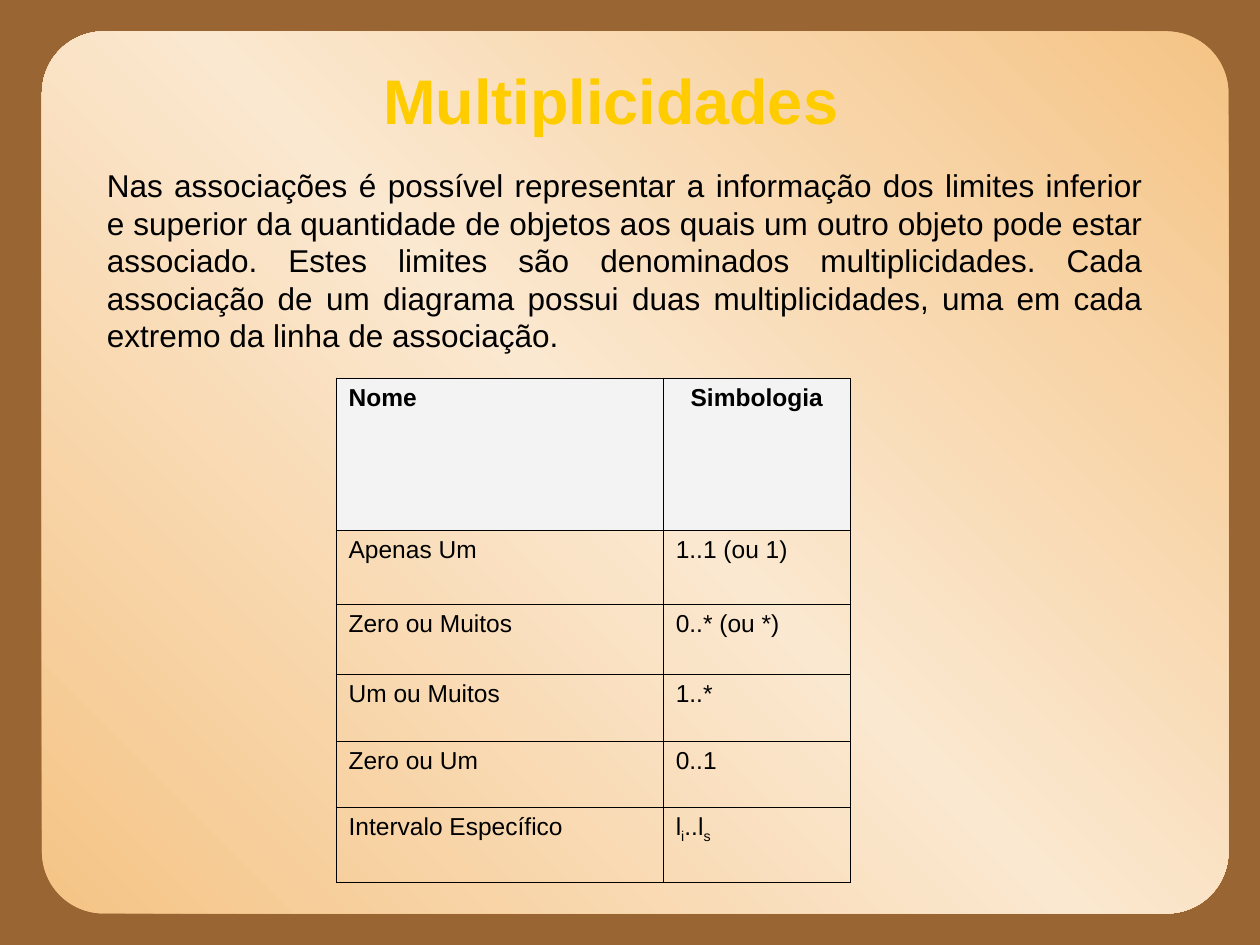
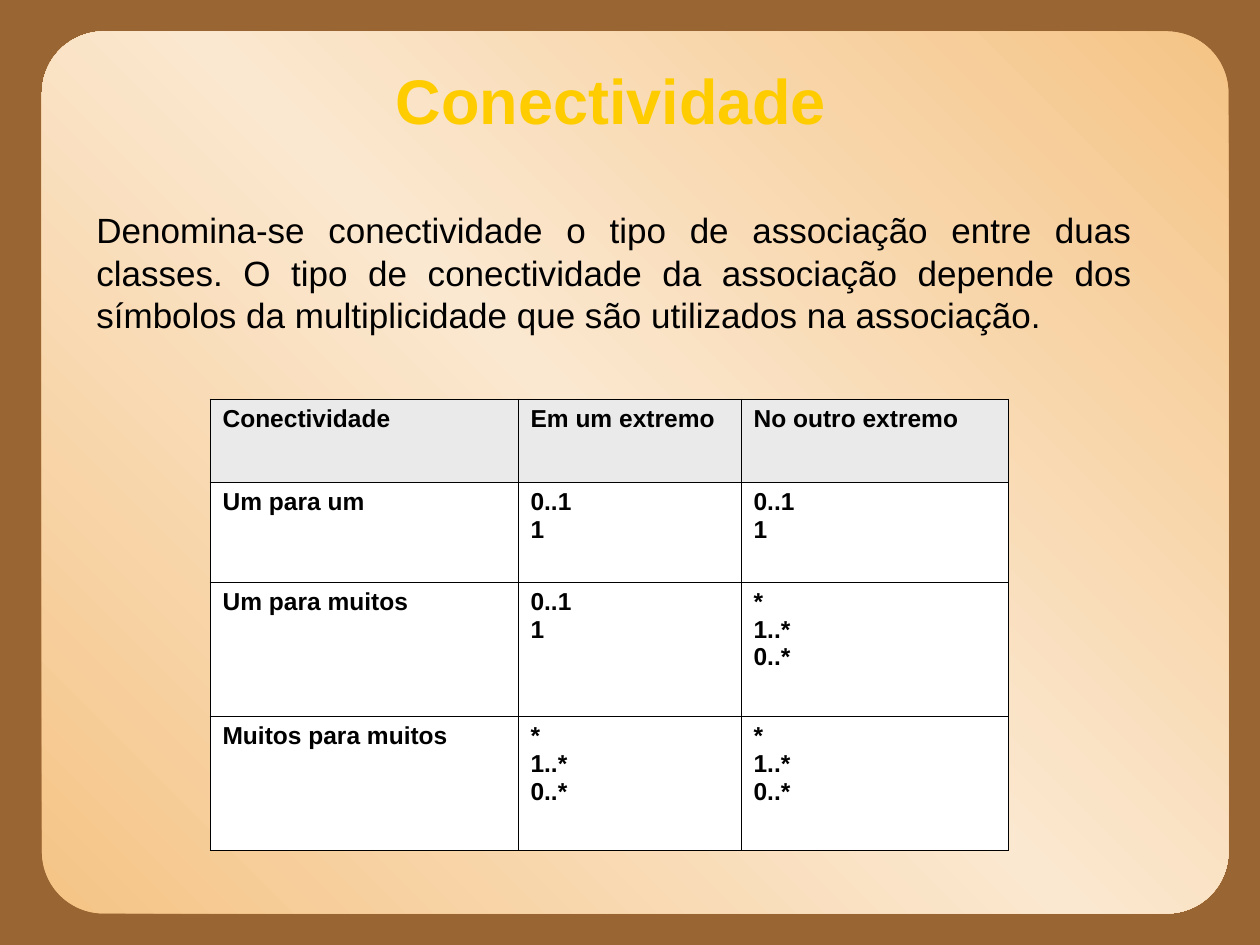
from copy import deepcopy

from lxml import etree
from pptx import Presentation
from pptx.dml.color import RGBColor
from pptx.enum.shapes import MSO_SHAPE
from pptx.enum.text import MSO_ANCHOR, PP_ALIGN
from pptx.oxml.ns import qn
from pptx.util import Pt

ROUNDED = MSO_SHAPE.ROUNDED_RECTANGLE
MIDDLE = MSO_ANCHOR.MIDDLE
LEFT, CENTER, JUSTIFY = PP_ALIGN.LEFT, PP_ALIGN.CENTER, PP_ALIGN.JUSTIFY

COLORS = {
    "frame": "996633",
    "panel_edge": "F5C486",
    "panel_middle": "FBE8D0",
    "title": "FFCC00",
    "text": "000000",
    "light_header": "F3F3F3",
    "gray_header": "EAEAEA",
    "white": "FFFFFF",
}

SLIDES = [
    {
        "title": "Multiplicidades",
        "body": "Nas associações é possível representar a informação dos limites inferior e superior "
                "da quantidade de objetos aos quais um outro objeto pode estar associado. Estes "
                "limites são denominados multiplicidades. Cada associação de um diagrama possui "
                "duas multiplicidades, uma em cada extremo da linha de associação.",
        "body_box": (54, 90, 606, 115),
        "body_size": 18,
        "line_spacing": 21.5,
        "table_at": (192, 216),
        "columns": [187, 107],
        "row_heights": [87, 42.3, 40, 38.3, 37.7, 42.7],
        "header_fill": "light_header",
        "cell_fill": None,
        "header_alignments": [LEFT, CENTER],
        "bold_cells": False,
        "rows": [
            ["Nome", "Simbologia"],
            ["Apenas Um", "1..1 (ou 1)"],
            ["Zero ou Muitos", "0..* (ou *)"],
            ["Um ou Muitos", "1..*"],
            ["Zero ou Um", "0..1"],
            ["Intervalo Específico", [("l", False), ("i", True), ("..l", False), ("s", True)]],
        ],
    },
    {
        "title": "Conectividade",
        "body": "Denomina-se conectividade o tipo de associação entre duas classes. O tipo de "
                "conectividade da associação depende dos símbolos da multiplicidade que são "
                "utilizados na associação.",
        "body_box": (48, 114, 606, 79),
        "body_size": 20,
        "line_spacing": 24.3,
        "table_at": (120, 228),
        "columns": [176, 127.5, 152.5],
        "row_heights": [47.5, 57.3, 76.6, 76.6],
        "header_fill": "gray_header",
        "cell_fill": "white",
        "header_alignments": [LEFT, LEFT, LEFT],
        "bold_cells": True,
        "rows": [
            ["Conectividade", "Em um extremo", "No outro extremo"],
            ["Um para um", "0..1\n1", "0..1\n1"],
            ["Um para muitos", "0..1\n1", "*\n1..*\n0..*"],
            ["Muitos para muitos", "*\n1..*\n0..*", "*\n1..*\n0..*"],
        ],
    },
]


def style_paragraph(paragraph, size, color, bold, alignment):
    paragraph.alignment = alignment
    font = paragraph.font
    font.name = "Arial"
    font.size = Pt(size)
    font.bold = bold
    font.color.rgb = RGBColor.from_string(COLORS[color])


def add_borders(cell):
    properties = cell._tc.get_or_add_tcPr()
    for position, side in enumerate(("lnL", "lnR", "lnT", "lnB")):
        line = etree.Element(qn(f"a:{side}"), w=str(Pt(0.45)))
        fill = etree.SubElement(line, qn("a:solidFill"))
        etree.SubElement(fill, qn("a:srgbClr"), val=COLORS["text"])
        properties.insert(position, line)


presentation = Presentation()
presentation.slide_width = Pt(720)
presentation.slide_height = Pt(540)

for content in SLIDES:
    slide = presentation.slides.add_slide(presentation.slide_layouts[6])
    slide.background.fill.solid()
    slide.background.fill.fore_color.rgb = RGBColor.from_string(COLORS["frame"])

    panel = slide.shapes.add_shape(ROUNDED, Pt(24), Pt(18), Pt(678), Pt(504))
    panel.shadow.inherit = False
    panel.adjustments[0] = 0.07
    panel.line.fill.background()
    panel.fill.gradient()
    panel.fill.gradient_angle = 45
    stop_list = panel._element.spPr.find(".//" + qn("a:gsLst"))
    stop_list.insert(1, deepcopy(stop_list[0]))
    stop_colors = ["panel_edge", "panel_middle", "panel_edge"]
    for index, (stop, color) in enumerate(zip(panel.fill.gradient_stops, stop_colors)):
        stop.position = index / 2
        stop.color.rgb = RGBColor.from_string(COLORS[color])

    title_frame = slide.shapes.add_textbox(Pt(54), Pt(24), Pt(612), Pt(66)).text_frame
    title_frame.word_wrap = True
    title_frame.vertical_anchor = MIDDLE
    title_frame.margin_left = 0
    title_frame.margin_right = Pt(21.6)
    title_frame.text = content["title"]
    style_paragraph(title_frame.paragraphs[0], 36, "title", True, CENTER)

    body_box = [Pt(length) for length in content["body_box"]]
    body_frame = slide.shapes.add_textbox(*body_box).text_frame
    body_frame.word_wrap = True
    body_frame.margin_top = Pt(5)
    body_frame.text = content["body"]
    body_paragraph = body_frame.paragraphs[0]
    body_paragraph.line_spacing = Pt(content["line_spacing"])
    style_paragraph(body_paragraph, content["body_size"], "text", False, JUSTIFY)

    rows, columns, heights = content["rows"], content["columns"], content["row_heights"]
    left, top = content["table_at"]
    table = slide.shapes.add_table(
        len(rows), len(columns), Pt(left), Pt(top), Pt(sum(columns)), Pt(sum(heights))
    ).table
    table.first_row = False
    table.horz_banding = False
    for column, width in zip(table.columns, columns):
        column.width = Pt(width)
    for row_index, (row, height) in enumerate(zip(rows, heights)):
        table.rows[row_index].height = Pt(height)
        is_header = row_index == 0
        fill_color = content["header_fill"] if is_header else content["cell_fill"]
        for column_index, value in enumerate(row):
            cell = table.cell(row_index, column_index)
            if fill_color:
                cell.fill.solid()
                cell.fill.fore_color.rgb = RGBColor.from_string(COLORS[fill_color])
            else:
                cell.fill.background()
            add_borders(cell)
            if isinstance(value, str):
                cell.text = value
            else:
                for text, is_subscript in value:
                    run = cell.text_frame.paragraphs[0].add_run()
                    run.text = text
                    if is_subscript:
                        run.font._element.set("baseline", "-25000")
            alignment = content["header_alignments"][column_index] if is_header else LEFT
            bold = is_header or content["bold_cells"]
            for paragraph in cell.text_frame.paragraphs:
                style_paragraph(paragraph, 14, "text", bold, alignment)

presentation.save("out.pptx")
